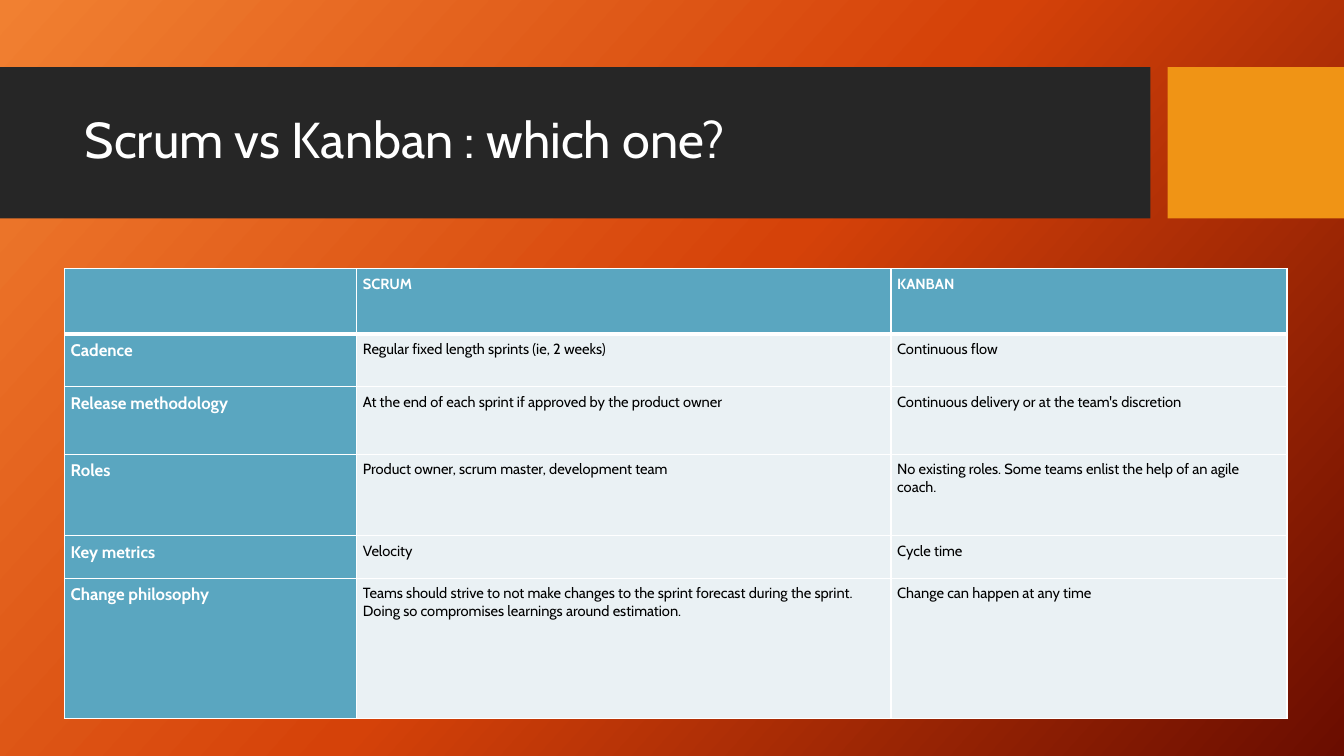
from lxml import etree
from pptx import Presentation
from pptx.dml.color import RGBColor
from pptx.enum import shapes, text
from pptx.oxml import ns
from pptx.util import Pt

FONT = "Cabin"
WHITE = RGBColor(0xFF, 0xFF, 0xFF)
BLACK = RGBColor(0x00, 0x00, 0x00)
CHARCOAL = RGBColor(0x26, 0x26, 0x26)
AMBER = RGBColor(0xF0, 0x94, 0x15)
TEAL = RGBColor(0x5A, 0xA6, 0xC0)
PALE = RGBColor(0xEA, 0xF1, 0xF4)
BACKDROP = [
    (0, RGBColor(0xF1, 0x80, 0x31)),
    (50, RGBColor(0xD5, 0x42, 0x09)),
    (100, RGBColor(0x6A, 0x0D, 0x00)),
]
BACKDROP_ANGLE = 42

TITLE_STYLE = {"name": FONT, "size": Pt(36), "bold": False}
HEADER_STYLE = {"name": FONT, "size": Pt(10.5), "bold": True}
LABEL_STYLE = {"name": FONT, "size": Pt(12), "bold": True}
BODY_STYLE = {"name": FONT, "size": Pt(10.5), "bold": False}

COLUMN_WIDTHS = [208.8, 381.6, 282.96]
COMPARISON = [
    (46.8, ["", "SCRUM", "KANBAN"]),
    (37.44, ["Cadence", "Regular fixed length sprints (ie, 2 weeks)", "Continuous flow"]),
    (48.24, ["Release methodology",
             "At the end of each sprint if approved by the product owner",
             "Continuous delivery or at the team's discretion"]),
    (58.32, ["Roles", "Product owner, scrum master, development team",
             "No existing roles. Some teams enlist the help of an agile coach."]),
    (30.24, ["Key metrics", "Velocity", "Cycle time"]),
    (100.08, ["Change philosophy",
              "Teams should strive to not make changes to the sprint forecast during the sprint. "
              "Doing so compromises learnings around estimation.",
              "Change can happen at any time"]),
]


def set_font(font, style, color):
    for key, value in style.items():
        setattr(font, key, value)
    font.color.rgb = color


def paint_background(page):
    fill = page.background.fill
    fill.gradient()
    gradient = page.background._cSld.find(".//" + ns.qn("a:gradFill"))
    stops = gradient.find(ns.qn("a:gsLst"))
    for stop in list(stops):
        stops.remove(stop)
    for position, color in BACKDROP:
        stop = etree.SubElement(stops, ns.qn("a:gs"), pos=str(position * 1000))
        etree.SubElement(stop, ns.qn("a:srgbClr"), val=str(color))
    fill.gradient_angle = 360 - BACKDROP_ANGLE


def add_bar(page, left, top, width, height, color):
    bar = page.shapes.add_shape(
        shapes.MSO_SHAPE.RECTANGLE, Pt(left), Pt(top), Pt(width), Pt(height))
    bar.shadow.inherit = False
    bar.fill.solid()
    bar.fill.fore_color.rgb = color
    bar.line.fill.background()


def add_title_band(page, left, top, width, height):
    accent, gap = 126, 12.24
    add_bar(page, left, top, width - accent - gap, height, CHARCOAL)
    add_bar(page, left + width - accent, top, accent, height, AMBER)
    title = page.shapes.title
    place = {"left": left + 53.28, "top": top + 10.8, "width": 756.72, "height": 84.96}
    for key, value in place.items():
        setattr(title, key, Pt(value))
    frame = title.text_frame
    frame.text = "Scrum vs Kanban : which one?"
    frame.word_wrap = True
    frame.vertical_anchor = text.MSO_ANCHOR.MIDDLE
    para = frame.paragraphs[0]
    para.alignment = text.PP_ALIGN.LEFT
    para.line_spacing = 0.9
    set_font(para.runs[0].font, TITLE_STYLE, WHITE)
    title._element.getparent().append(title._element)


def add_border(cell, side, width):
    line = etree.SubElement(
        cell._tc.get_or_add_tcPr(), ns.qn("a:ln" + side), w=str(Pt(width)))
    fill = etree.SubElement(line, ns.qn("a:solidFill"))
    etree.SubElement(fill, ns.qn("a:srgbClr"), val=str(WHITE))


def fill_cell(cell, words, row, column):
    for side in "LRTB":
        under_header = (row, side) in [(0, "B"), (1, "T")]
        add_border(cell, side, 3 if under_header else 1)
    heading = row == 0 or column == 0
    cell.fill.solid()
    cell.fill.fore_color.rgb = TEAL if heading else PALE
    for side in ("left", "right", "top", "bottom"):
        setattr(cell, "margin_" + side, Pt(4.5))
    cell.vertical_anchor = text.MSO_ANCHOR.TOP
    style = HEADER_STYLE if row == 0 else LABEL_STYLE if column == 0 else BODY_STYLE
    para = cell.text_frame.paragraphs[0]
    if words:
        span = para.add_run()
        span.text = words
        set_font(span.font, style, WHITE if heading else BLACK)


def add_comparison(page, left, top, width, height):
    box = page.shapes.add_table(
        len(COMPARISON), len(COLUMN_WIDTHS), Pt(left), Pt(top), Pt(width), Pt(height))
    table = box.table
    for column, column_width in zip(table.columns, COLUMN_WIDTHS):
        column.width = Pt(column_width)
    for row, (row_height, entries) in enumerate(COMPARISON):
        table.rows[row].height = Pt(row_height)
        for column, words in enumerate(entries):
            fill_cell(table.cell(row, column), words, row, column)


def main():
    deck = Presentation()
    deck.slide_width, deck.slide_height = Pt(960), Pt(540)
    page = deck.slides.add_slide(deck.slide_layouts[5])
    paint_background(page)
    add_title_band(page, 0, 48, 960, 108)
    add_comparison(page, 46, 192, sum(COLUMN_WIDTHS), sum(h for h, _ in COMPARISON))
    deck.save("out.pptx")


if __name__ == "__main__":
    main()
